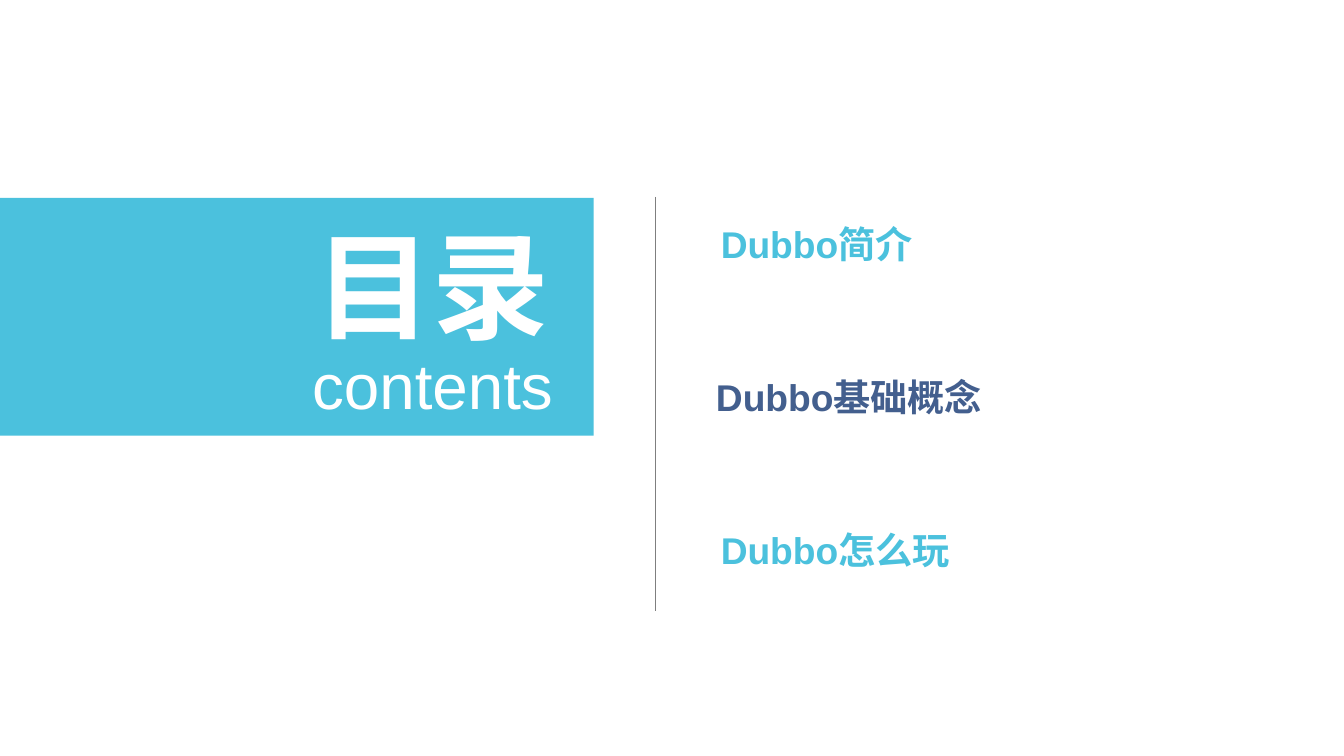
from dataclasses import dataclass

from lxml.etree import SubElement
from pptx import Presentation
from pptx.dml.color import RGBColor
from pptx.enum.shapes import MSO_CONNECTOR as Connector, MSO_SHAPE as ShapeKind
from pptx.enum.text import MSO_ANCHOR as Anchor, MSO_AUTO_SIZE as AutoSize, PP_ALIGN as Align
from pptx.oxml.ns import qn
from pptx.shapes.placeholder import SlidePlaceholder
from pptx.slide import Slide
from pptx.util import Pt


@dataclass(frozen=True)
class Theme:
    font: str = "Arial"
    sky: RGBColor = RGBColor(0x4B, 0xC1, 0xDD)
    navy: RGBColor = RGBColor(0x43, 0x5F, 0x8E)
    gray: RGBColor = RGBColor(0x7F, 0x7F, 0x7F)
    white: RGBColor = RGBColor(0xFF, 0xFF, 0xFF)
    heading_size: float = 88
    subheading_size: float = 48
    item_size: float = 28


@dataclass(frozen=True)
class Label:
    text: str
    left: float
    top: float
    width: float
    height: float
    size: float
    color: RGBColor
    bold: bool = True
    align: Align = Align.LEFT


THEME = Theme()
ITEM_TOP, ITEM_PITCH, ITEM_HEIGHT = 167, 115.2, 34

HEADING = Label("目录", 236.9, 160.6, 177.8, 106.6, THEME.heading_size,
                THEME.white, align=Align.CENTER)
SUBHEADING = Label("contents", 234, 260.6, 183.6, 58.3, THEME.subheading_size,
                   THEME.white, bold=False, align=Align.CENTER)
ITEMS = [
    Label(text, left, ITEM_TOP + row * ITEM_PITCH, width, ITEM_HEIGHT, THEME.item_size, color)
    for row, (text, left, width, color) in enumerate([
        ("Dubbo简介", 542.9, 146.2, THEME.sky),
        ("Dubbo基础概念", 539.3, 203, THEME.navy),
        ("Dubbo怎么玩", 542.9, 174.2, THEME.sky),
    ])
]


def fill_placeholder(placeholder: SlidePlaceholder, label: Label) -> None:
    placeholder.left, placeholder.top = Pt(label.left), Pt(label.top)
    placeholder.width, placeholder.height = Pt(label.width), Pt(label.height)
    frame = placeholder.text_frame
    frame.margin_left = frame.margin_right = frame.margin_top = frame.margin_bottom = 0
    frame.word_wrap = True
    frame.auto_size = AutoSize.SHAPE_TO_FIT_TEXT
    frame.vertical_anchor = Anchor.TOP

    paragraph = frame.paragraphs[0]
    paragraph.alignment = label.align
    paragraph.space_before = Pt(0)
    properties = paragraph._p.get_or_add_pPr()
    properties.set("marL", "0")
    properties.set("indent", "0")
    SubElement(properties, qn("a:buNone"))

    run = paragraph.add_run()
    run.text = label.text
    run.font.name = THEME.font
    run.font.size = Pt(label.size)
    run.font.bold = label.bold
    run.font.color.rgb = label.color


def add_banner(slide: Slide) -> None:
    banner = slide.shapes.add_shape(ShapeKind.RECTANGLE, 0, Pt(149), Pt(447.1), Pt(179.3))
    banner.shadow.inherit = False
    banner.fill.solid()
    banner.fill.fore_color.rgb = THEME.sky
    banner.line.fill.background()
    # Send the banner behind the placeholders
    slide.shapes[0].element.addprevious(banner.element)


def add_divider(slide: Slide) -> None:
    divider = slide.shapes.add_connector(
        Connector.STRAIGHT, Pt(493.9), Pt(148.3), Pt(493.9), Pt(460.1))
    divider.line.color.rgb = THEME.gray
    divider.line.width = Pt(1)
    SubElement(divider.element.spPr, qn("a:effectLst"))


def main() -> None:
    presentation = Presentation()
    presentation.slide_width, presentation.slide_height = Pt(1012.3), Pt(569.5)
    # The comparison layout has a title and four body placeholders
    slide = presentation.slides.add_slide(presentation.slide_layouts.get_by_name("Comparison"))

    # Heading and list
    for placeholder, label in zip(slide.placeholders, [HEADING, SUBHEADING, *ITEMS]):
        fill_placeholder(placeholder, label)

    # Banner and divider
    add_banner(slide)
    add_divider(slide)
    presentation.save("out.pptx")


if __name__ == "__main__":
    main()
